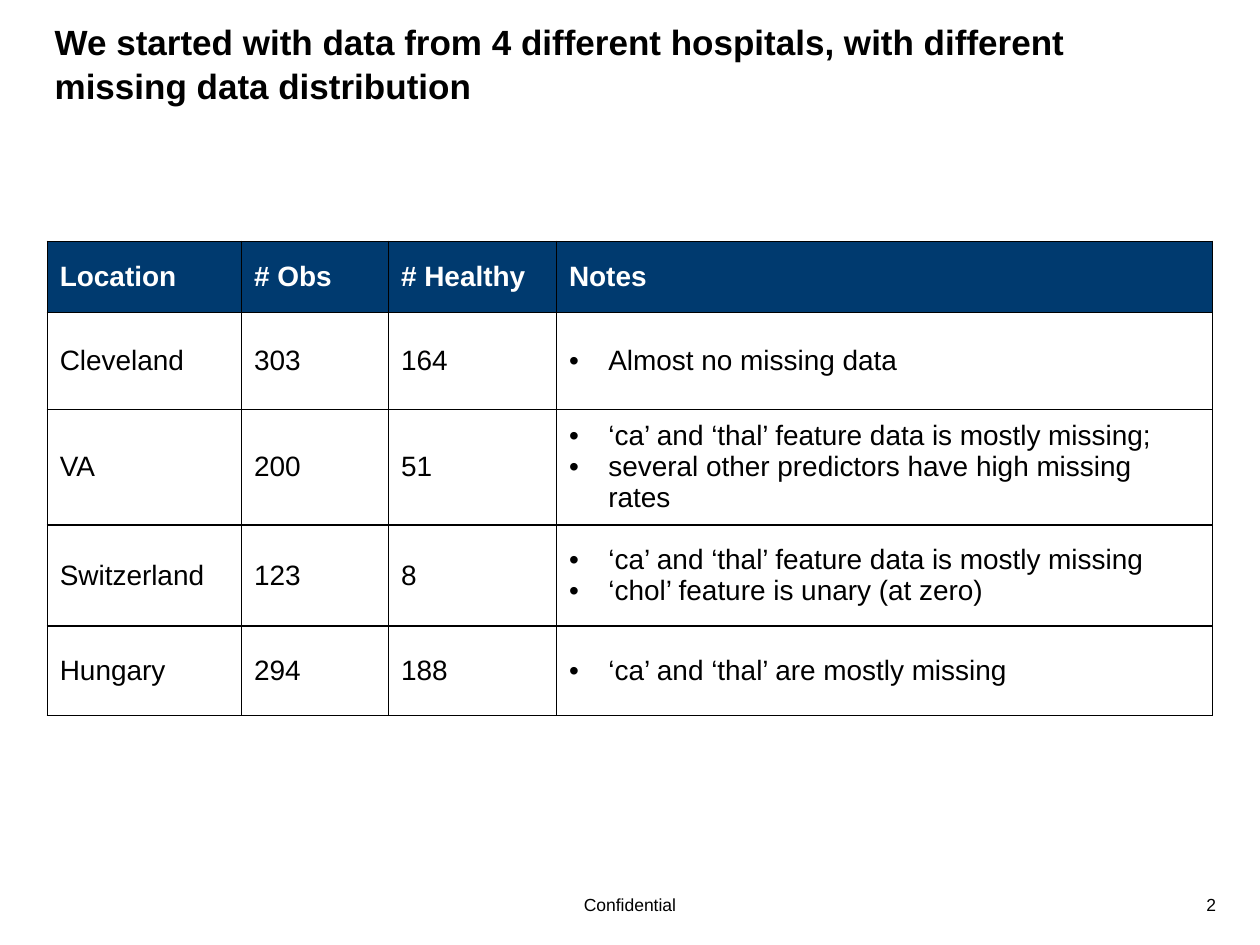
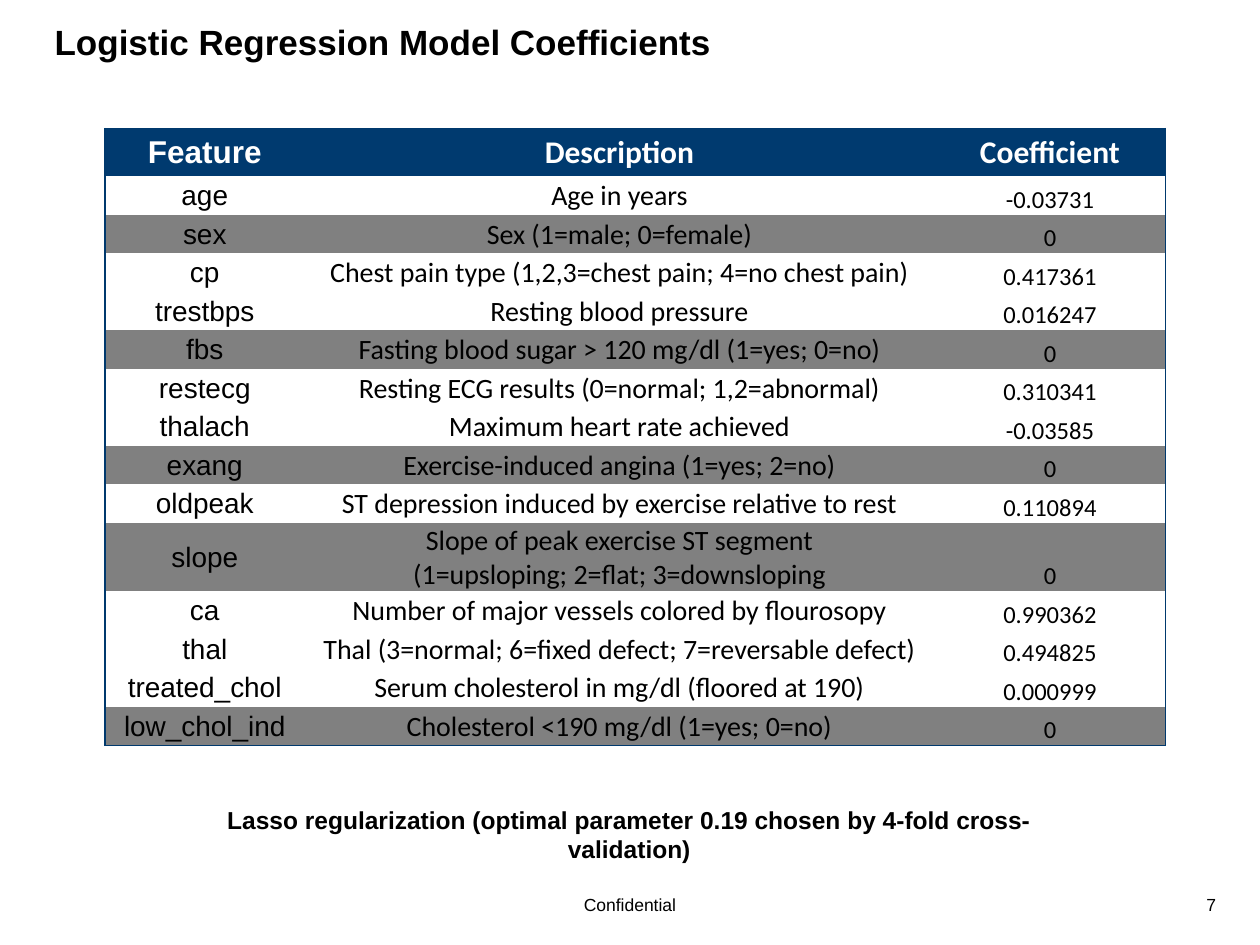
from dataclasses import dataclass

from lxml.etree import SubElement
from pptx import Presentation
from pptx.dml.color import RGBColor
from pptx.enum.text import MSO_ANCHOR, MSO_AUTO_SIZE, PP_ALIGN
from pptx.oxml.ns import qn
from pptx.presentation import Presentation as Deck
from pptx.slide import Slide
from pptx.table import Table, _Cell
from pptx.text.text import TextFrame, _Paragraph
from pptx.util import Pt

COLORS = {
    "ink": "000000",
    "paper": "FFFFFF",
    "header": "003A6F",
    "frame": "00396D",
    "dropped": "808080",
}
PLAIN_TABLE_STYLE = "{2D5ABB26-0587-4C30-8999-92F81FD0307C}"
ALL_SIDES = "LRTB"
BULLET_INDENT = 22.5
CELL_INSETS = (0.72, 0.72, 0.72, 0)


@dataclass(frozen=True)
class TextStyle:
    size: float
    font: str = "Arial"
    bold: bool = False
    color: str = "ink"
    align: PP_ALIGN = PP_ALIGN.LEFT
    anchor: MSO_ANCHOR = MSO_ANCHOR.MIDDLE


@dataclass(frozen=True)
class Box:
    left: float
    top: float
    width: float
    height: float


@dataclass(frozen=True)
class Feature:
    name: str
    description: tuple[str, ...]
    coefficient: str


TITLE_BOX = Box(24, 5.76, 672, 55.5)
FOOTER_BOX = Box(144, 507.6, 432, 19.5)
NUMBER_BOX = Box(669.6, 507.6, 32.4, 19.5)
CAPTION_BOX = Box(89.6, 456.5, 540, 24.5)

TITLE = TextStyle(20, bold=True)
FOOTER = TextStyle(10, align=PP_ALIGN.CENTER)
NUMBER = TextStyle(10, align=PP_ALIGN.RIGHT)
CAPTION = TextStyle(14, bold=True, align=PP_ALIGN.CENTER)
HOSPITAL_HEADER = TextStyle(16, bold=True, color="paper")
HOSPITAL_BODY = TextStyle(16)
FEATURE_HEADERS = tuple(
    TextStyle(18, font, True, "paper", PP_ALIGN.CENTER)
    for font in ("Arial", "Calibri", "Calibri")
)
FEATURE_BODY = (
    TextStyle(16, align=PP_ALIGN.CENTER),
    TextStyle(16, "Calibri", align=PP_ALIGN.CENTER),
    TextStyle(14, "Calibri", align=PP_ALIGN.CENTER, anchor=MSO_ANCHOR.BOTTOM),
)

HOSPITAL_COLUMNS = (111, 84, 96, 375)
HOSPITAL_ROW_HEIGHTS = (40.5, 55.4, 66.2, 57.7, 51)
HOSPITAL_HEADINGS = ("Location", "# Obs", "# Healthy", "Notes")
HOSPITALS = (
    ("Cleveland", "303", "164", ("Almost no missing data",)),
    ("VA", "200", "51", (
        "‘ca’ and ‘thal’ feature data is mostly missing;",
        "several other predictors have high missing rates",
    )),
    ("Switzerland", "123", "8", (
        "‘ca’ and ‘thal’ feature data is mostly missing",
        "‘chol’ feature is unary (at zero)",
    )),
    ("Hungary", "294", "188", ("‘ca’ and ‘thal’ are mostly missing",)),
)

FEATURE_COLUMNS = (114, 360, 132)
FEATURE_HEADER_HEIGHT = 27.4
FEATURE_LINE_HEIGHTS = {1: 22, 2: 39}
FEATURE_HEADINGS = ("Feature", "Description", "Coefficient")
FEATURES = (
    Feature("age", ("Age in years",), "-0.03731"),
    Feature("sex", ("Sex (1=male; 0=female)",), "0"),
    Feature("cp", ("Chest pain type (1,2,3=chest pain; 4=no chest pain)",), "0.417361"),
    Feature("trestbps", ("Resting blood pressure",), "0.016247"),
    Feature("fbs", ("Fasting blood sugar > 120 mg/dl (1=yes; 0=no)",), "0"),
    Feature("restecg", ("Resting ECG results (0=normal; 1,2=abnormal)",), "0.310341"),
    Feature("thalach", ("Maximum heart rate achieved",), "-0.03585"),
    Feature("exang", ("Exercise-induced angina (1=yes; 2=no)",), "0"),
    Feature("oldpeak", ("ST depression induced by exercise relative to rest",), "0.110894"),
    Feature("slope", (
        "Slope of peak exercise ST segment",
        "(1=upsloping; 2=flat; 3=downsloping",
    ), "0"),
    Feature("ca", ("Number of major vessels colored by flourosopy",), "0.990362"),
    Feature("thal", ("Thal (3=normal; 6=fixed defect; 7=reversable defect)",), "0.494825"),
    Feature("treated_chol", ("Serum cholesterol in mg/dl (floored at 190)",), "0.000999"),
    Feature("low_chol_ind", ("Cholesterol <190 mg/dl (1=yes; 0=no)",), "0"),
)


def rgb(name: str) -> RGBColor:
    return RGBColor.from_string(COLORS[name])


def add_bullet(paragraph: _Paragraph) -> None:
    properties = paragraph._p.get_or_add_pPr()
    properties.set("marL", str(Pt(BULLET_INDENT)))
    properties.set("indent", str(-Pt(BULLET_INDENT)))
    SubElement(properties, qn("a:buFont"), typeface="Arial")
    SubElement(properties, qn("a:buChar"), char="•")


def write_lines(
    frame: TextFrame, lines: tuple[str, ...], style: TextStyle, bulleted: bool = False
) -> None:
    for index, line in enumerate(lines):
        paragraph = frame.add_paragraph() if index else frame.paragraphs[0]
        paragraph.alignment = style.align
        if bulleted:
            add_bullet(paragraph)
        run = paragraph.add_run()
        run.text = line
        run.font.size = Pt(style.size)
        run.font.name = style.font
        run.font.bold = style.bold
        run.font.color.rgb = rgb(style.color)


def add_label(slide: Slide, box: Box, text: str, style: TextStyle) -> None:
    shape = slide.shapes.add_textbox(
        Pt(box.left), Pt(box.top), Pt(box.width), Pt(box.height)
    )
    shape.text_frame.word_wrap = True
    write_lines(shape.text_frame, (text,), style)


def add_titled_slide(presentation: Deck, title: str, number: int) -> Slide:
    slide = presentation.slides.add_slide(presentation.slide_layouts[5])
    shape = slide.shapes.title
    shape.left, shape.top = Pt(TITLE_BOX.left), Pt(TITLE_BOX.top)
    shape.width, shape.height = Pt(TITLE_BOX.width), Pt(TITLE_BOX.height)
    frame = shape.text_frame
    frame.auto_size = MSO_AUTO_SIZE.NONE
    frame.vertical_anchor = MSO_ANCHOR.TOP
    frame.margin_top = Pt(4.6)
    write_lines(frame, (title,), TITLE)
    frame.paragraphs[0].line_spacing = 1.05
    add_label(slide, NUMBER_BOX, str(number), NUMBER)
    add_label(slide, FOOTER_BOX, "Confidential", FOOTER)
    return slide


def add_plain_table(
    slide: Slide,
    left: float,
    top: float,
    widths: tuple[float, ...],
    heights: tuple[float, ...],
) -> Table:
    graphic = slide.shapes.add_table(
        len(heights), len(widths), Pt(left), Pt(top), Pt(sum(widths)), Pt(sum(heights))
    )
    graphic.element.find(".//" + qn("a:tableStyleId")).text = PLAIN_TABLE_STYLE
    table = graphic.table
    table.horz_banding = False
    for column, width in zip(table.columns, widths):
        column.width = Pt(width)
    for row, height in zip(table.rows, heights):
        row.height = Pt(height)
    return table


def set_borders(cell: _Cell, sides: str, color: str, width: float) -> None:
    properties = cell._tc.get_or_add_tcPr()
    for index, side in enumerate(side for side in ALL_SIDES if side in sides):
        line = SubElement(properties, qn(f"a:ln{side}"), w=str(Pt(width)))
        fill = SubElement(line, qn("a:solidFill"))
        SubElement(fill, qn("a:srgbClr"), val=COLORS[color])
        properties.insert(index, line)


def fill_cell(
    cell: _Cell,
    lines: tuple[str, ...],
    style: TextStyle,
    fill: str,
    bulleted: bool = False,
) -> None:
    cell.fill.solid()
    cell.fill.fore_color.rgb = rgb(fill)
    cell.vertical_anchor = style.anchor
    write_lines(cell.text_frame, lines, style, bulleted)


def build_hospital_slide(presentation: Deck) -> None:
    slide = add_titled_slide(
        presentation,
        "We started with data from 4 different hospitals, "
        "with different missing data distribution",
        2,
    )
    table = add_plain_table(slide, 27, 138, HOSPITAL_COLUMNS, HOSPITAL_ROW_HEIGHTS)
    for row, values in enumerate((HOSPITAL_HEADINGS, *HOSPITALS)):
        style, fill = (HOSPITAL_BODY, "paper") if row else (HOSPITAL_HEADER, "header")
        for column, value in enumerate(values):
            cell = table.cell(row, column)
            bulleted = isinstance(value, tuple)
            fill_cell(cell, value if bulleted else (value,), style, fill, bulleted)
            set_borders(cell, ALL_SIDES, "ink", 1)


def build_coefficient_slide(presentation: Deck) -> None:
    slide = add_titled_slide(presentation, "Logistic Regression Model Coefficients", 7)
    add_label(
        slide,
        CAPTION_BOX,
        "Lasso regularization (optimal parameter 0.19 chosen by 4-fold cross-validation)",
        CAPTION,
    )
    heights = (
        FEATURE_HEADER_HEIGHT,
        *(FEATURE_LINE_HEIGHTS[len(feature.description)] for feature in FEATURES),
    )
    table = add_plain_table(slide, 60, 73.4, FEATURE_COLUMNS, heights)
    rows = [(tuple((heading,) for heading in FEATURE_HEADINGS), FEATURE_HEADERS, "header")]
    for feature in FEATURES:
        values = ((feature.name,), feature.description, (feature.coefficient,))
        fill = "dropped" if feature.coefficient == "0" else "paper"
        rows.append((values, FEATURE_BODY, fill))
    for row, (values, styles, fill) in enumerate(rows):
        for column, (lines, style) in enumerate(zip(values, styles)):
            cell = table.cell(row, column)
            fill_cell(cell, lines, style, fill)
            (cell.margin_left, cell.margin_top,
             cell.margin_right, cell.margin_bottom) = map(Pt, CELL_INSETS)
            outer = {
                "L": column == 0,
                "R": column == len(FEATURE_COLUMNS) - 1,
                "T": row == 0,
                "B": row == len(rows) - 1,
            }
            sides = "".join(side for side, on_edge in outer.items() if on_edge)
            set_borders(cell, sides, "frame", 0.75)


def main() -> None:
    presentation = Presentation()
    presentation.slide_width, presentation.slide_height = Pt(720), Pt(540)
    build_hospital_slide(presentation)
    build_coefficient_slide(presentation)
    presentation.save("out.pptx")


if __name__ == "__main__":
    main()
